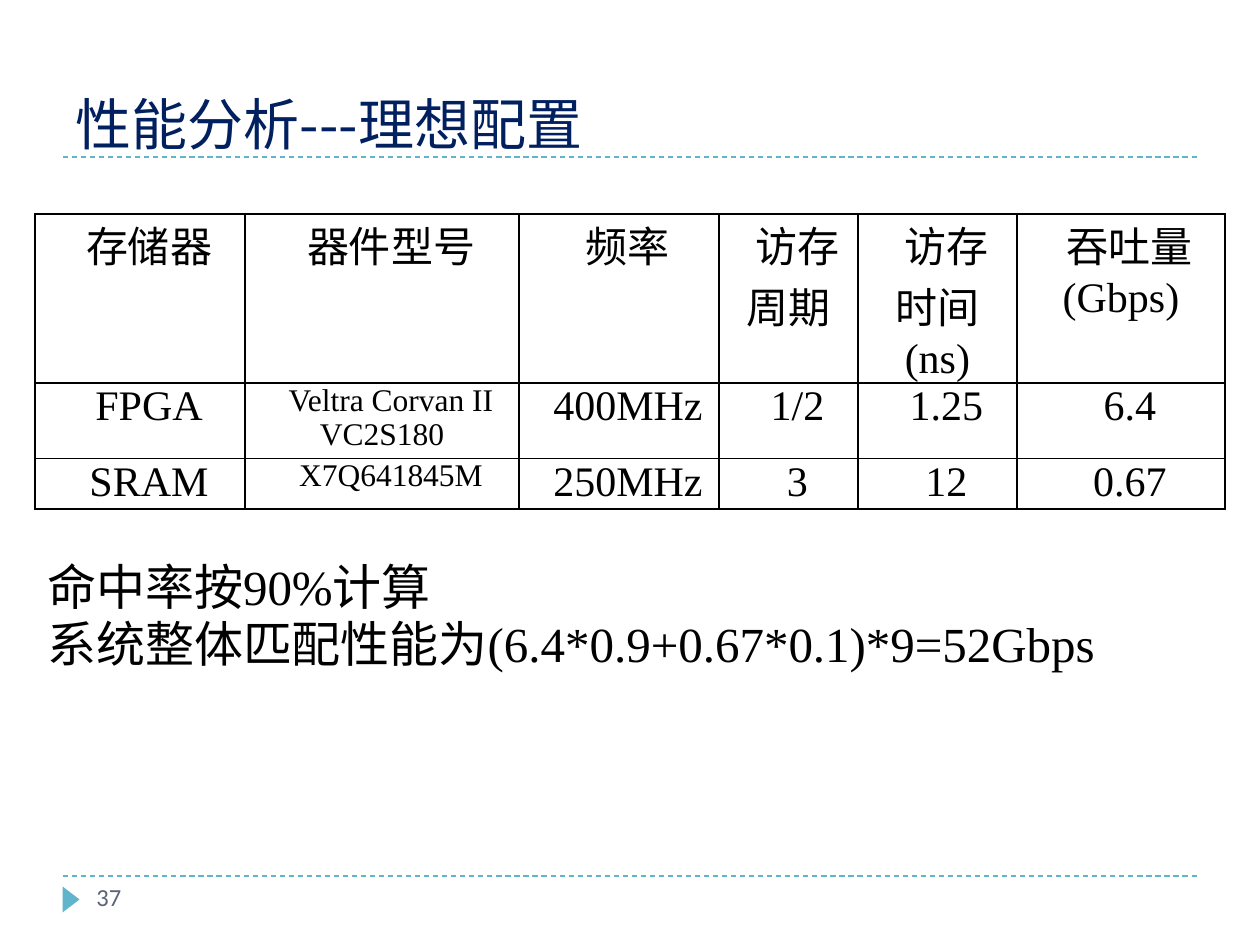
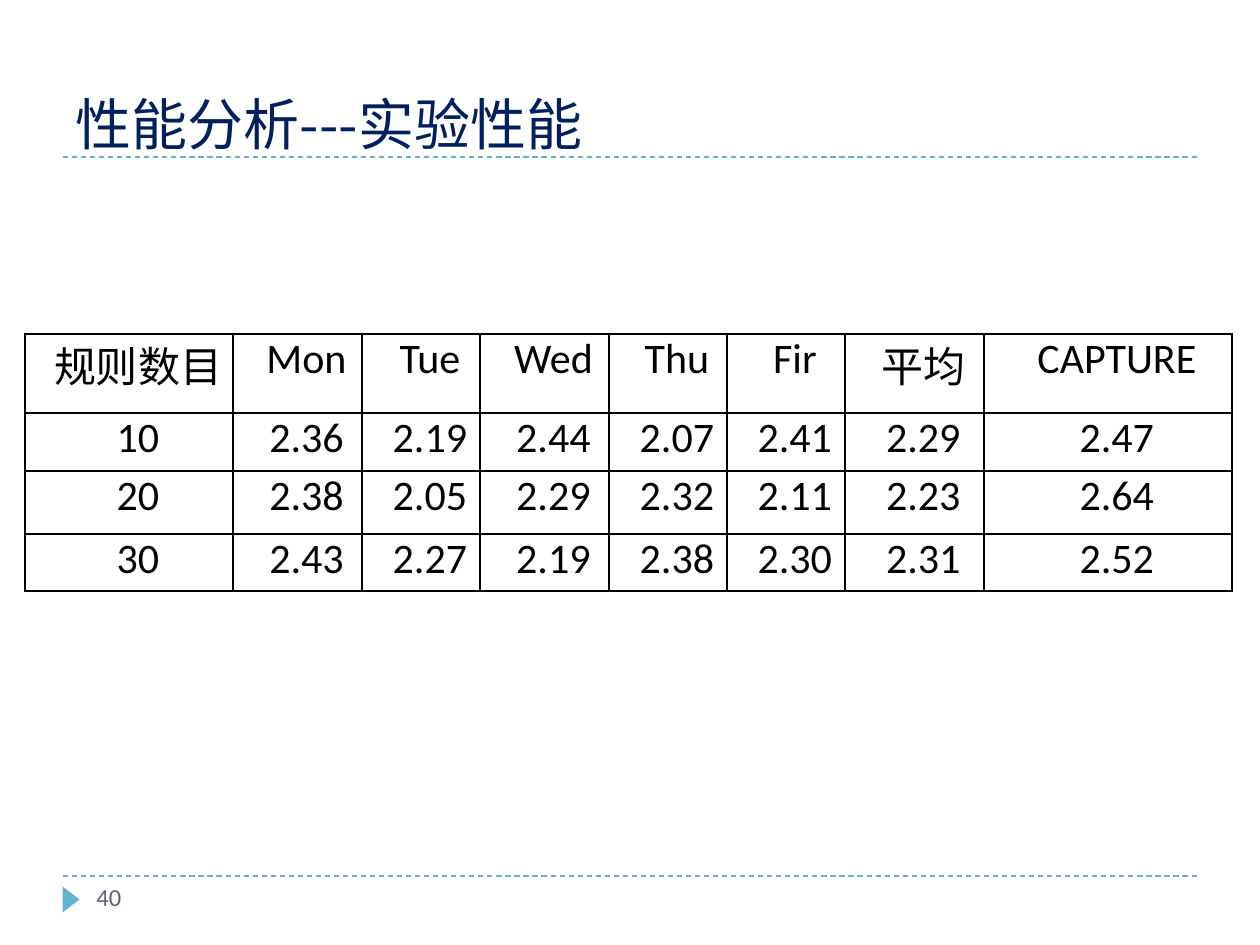
"""Build two performance analysis slides, each with a titled table."""
import itertools

import lxml.etree
import pptx
import pptx.dml.color
import pptx.enum.dml
import pptx.enum.shapes
import pptx.enum.text
import pptx.oxml.ns
import pptx.util

PX = 914400 / 126
NAVY = pptx.dml.color.RGBColor(0x00, 0x20, 0x60)
TEAL = pptx.dml.color.RGBColor(0x60, 0xB5, 0xCC)
SLATE = pptx.dml.color.RGBColor(0x5A, 0x63, 0x78)
BLACK = pptx.dml.color.RGBColor(0, 0, 0)
CJK, SERIF, SANS = "Noto Sans CJK SC", "Times New Roman", "Calibri"
qn = pptx.oxml.ns.qn
ALIGN = pptx.enum.text.PP_ALIGN
ANCHOR = pptx.enum.text.MSO_ANCHOR


def px(*lengths):
    return [pptx.util.Emu(round(n * PX)) for n in lengths]


def write(tf, text, size, latin, color=BLACK, align=ALIGN.LEFT, indent=0, spacing=None):
    tf.word_wrap = True
    for i, line in enumerate(text.split("\n")):
        p = tf.add_paragraph() if i else tf.paragraphs[0]
        p.alignment = align
        if spacing:
            p.line_spacing = pptx.util.Pt(spacing)
        if indent:
            pPr = p._p.get_or_add_pPr()
            pPr.set("marL", "0")
            pPr.set("indent", str(px(indent)[0]))
        for is_latin, chars in itertools.groupby(line, str.isascii):
            r = p.add_run()
            r.text = "".join(chars)
            r.font.size = pptx.util.Pt(size)
            r.font.color.rgb = color
            r.font.name = latin if is_latin else CJK
            ea = lxml.etree.SubElement(r._r.get_or_add_rPr(), qn("a:ea"))
            ea.set("typeface", CJK)


slides = [
    dict(title="性能分析---理想配置", number="37", font=SERIF, small_column=1,
         left=35, top=214, widths=[210, 274, 200, 139, 159, 208], heights=[169, 69, 47],
         rows=[["存储器", "器件型号", "频率", "访存周期", "访存时间(ns)", "吞吐量 (Gbps)"],
               ["FPGA", "Veltra Corvan II VC2S180", "400MHz", "1/2", "1.25", "6.4"],
               ["SRAM", "X7Q641845M", "250MHz", "3", "12", "0.67"]]),
    dict(title="性能分析---实验性能", number="40", font=SANS, small_column=None,
         left=25, top=334, widths=[208, 129, 118, 129, 118, 118, 139, 248],
         heights=[79, 58, 63, 57],
         rows=[["规则数目", "Mon", "Tue", "Wed", "Thu", "Fir", "平均", "CAPTURE"],
               ["10", "2.36", "2.19", "2.44", "2.07", "2.41", "2.29", "2.47"],
               ["20", "2.38", "2.05", "2.29", "2.32", "2.11", "2.23", "2.64"],
               ["30", "2.43", "2.27", "2.19", "2.38", "2.30", "2.31", "2.52"]]),
]

prs = pptx.Presentation()
prs.slide_width, prs.slide_height = px(1260, 945)

for data in slides:
    s = prs.slides.add_slide(prs.slide_layouts[6])

    for y in (876, 157):
        rule = s.shapes.add_connector(
            pptx.enum.shapes.MSO_CONNECTOR.STRAIGHT, *px(63, y, 1197, y))
        rule.line.color.rgb = TEAL
        rule.line.width = pptx.util.Pt(0.75)
        rule.line.dash_style = pptx.enum.dml.MSO_LINE.DASH
        lxml.etree.SubElement(rule._element.spPr, qn("a:effectLst"))

    marker = s.shapes.add_shape(
        pptx.enum.shapes.MSO_SHAPE.ISOSCELES_TRIANGLE, *px(58, 891, 26, 17))
    marker.rotation = 90
    marker.shadow.inherit = False
    marker.fill.solid()
    marker.fill.fore_color.rgb = TEAL
    marker.line.fill.background()

    tf = s.shapes.add_textbox(*px(63, 21, 1134, 136)).text_frame
    tf.vertical_anchor = ANCHOR.BOTTOM
    tf.margin_bottom = 0
    write(tf, data["title"], 32, CJK, color=NAVY)

    tf = s.shapes.add_textbox(*px(84, 876, 273, 50)).text_frame
    write(tf, data["number"], 14, SANS, color=SLATE)

    widths, heights, rows = data["widths"], data["heights"], data["rows"]
    table = s.shapes.add_table(
        len(rows), len(widths),
        *px(data["left"], data["top"], sum(widths), sum(heights))).table
    table.first_row = table.horz_banding = False
    for column, width in zip(table.columns, px(*widths)):
        column.width = width
    for row, height in zip(table.rows, px(*heights)):
        row.height = height

    for i, values in enumerate(rows):
        for j, value in enumerate(values):
            cell = table.cell(i, j)
            cell.margin_left, cell.margin_right = px(9, 9)
            cell.margin_top = cell.margin_bottom = 0
            cell.fill.background()
            size = 18 if i and j == data["small_column"] else 24
            write(cell.text_frame, value, size, data["font"],
                  align=ALIGN.CENTER, indent=18)
            tcPr = cell._tc.get_or_add_tcPr()
            for k, side in enumerate("LRTB"):
                ln = lxml.etree.Element(qn(f"a:ln{side}"), w="12700")
                fill = lxml.etree.SubElement(ln, qn("a:solidFill"))
                lxml.etree.SubElement(fill, qn("a:srgbClr"), val=str(BLACK))
                tcPr.insert(k, ln)

tf = prs.slides[0].shapes.add_textbox(*px(35, 551, 1211, 128)).text_frame
write(tf, "命中率按90%计算\n系统整体匹配性能为(6.4*0.9+0.67*0.1)*9=52Gbps",
      28, SERIF, spacing=33)

prs.save("out.pptx")
